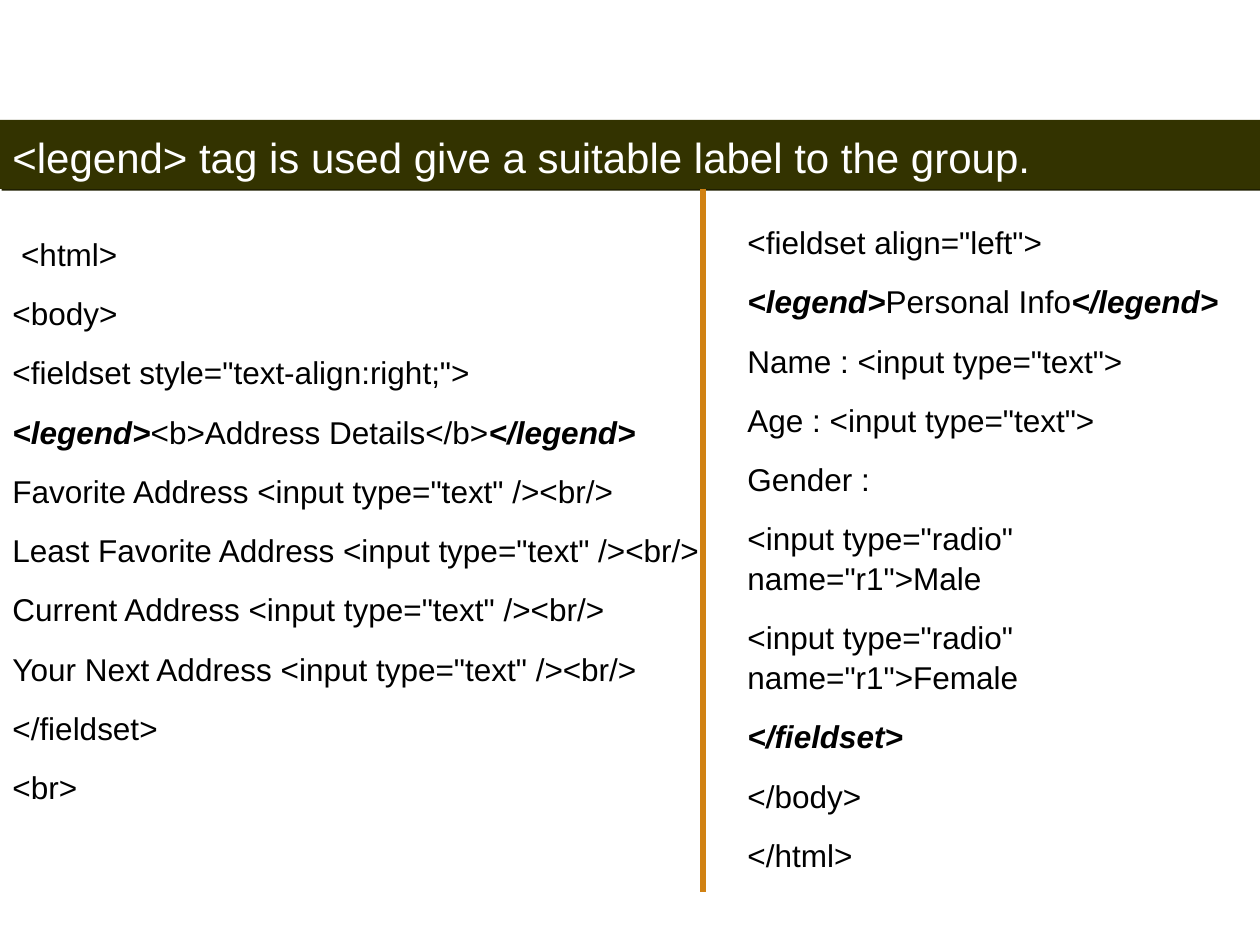
from lxml.etree import SubElement
from pptx import Presentation
from pptx.dml.color import RGBColor
from pptx.enum.shapes import MSO_CONNECTOR as Connector, MSO_SHAPE as Shape
from pptx.enum.text import MSO_ANCHOR as Anchor, PP_ALIGN as Align
from pptx.oxml import parse_xml
from pptx.oxml.ns import nsdecls, qn
from pptx.util import Pt

SCALE = 914400 / 126
OLIVE = RGBColor(0x33, 0x33, 0x00)
ORANGE = RGBColor(0xD1, 0x82, 0x13)
WHITE = RGBColor(0xFF, 0xFF, 0xFF)
BLACK = RGBColor(0x00, 0x00, 0x00)
FONT = "Arial"
SHADOW = (
    f'<a:effectLst {nsdecls("a")}>'
    '<a:outerShdw dist="17780" dir="2700000" algn="ctr" rotWithShape="0">'
    '<a:srgbClr val="1F1F00"/></a:outerShdw></a:effectLst>'
)

TITLE = "<legend> tag is used give a suitable label to the group."
ADDRESS_CODE = [
    [(" <html>", False)],
    [("<body>", False)],
    [('<fieldset style="text-align:right;">', False)],
    [("<legend>", True), ("<b>Address Details</b>", False), ("</legend>", True)],
    [('Favorite Address <input type="text" /><br/>', False)],
    [('Least Favorite Address <input type="text" /><br/>', False)],
    [('Current Address <input type="text" /><br/>', False)],
    [('Your Next Address <input type="text" /><br/>', False)],
    [("</fieldset>", False)],
    [("<br>", False)],
]
PERSONAL_CODE = [
    [('<fieldset align="left">', False)],
    [("<legend>", True), ("Personal Info", False), ("</legend>", True)],
    [('Name : <input type="text">', False)],
    [('Age : <input type="text">', False)],
    [("Gender :", False)],
    [('<input type="radio" name="r1">Male', False)],
    [('<input type="radio" name="r1">Female', False)],
    [("</fieldset>", True)],
    [("</body>", False)],
    [("</html>", False)],
]


def px(*lengths):
    return [round(length * SCALE) for length in lengths]


def add_span(para, text, size, color, strong=False):
    span = para.add_run()
    span.text = text
    span.font.name = FONT
    span.font.size = Pt(size)
    span.font.color.rgb = color
    span.font.bold = span.font.italic = strong


def add_title_band(page, box):
    band = page.shapes.add_shape(Shape.RECTANGLE, *px(*box))
    band.fill.solid()
    band.fill.fore_color.rgb = OLIVE
    band.line.fill.background()
    band.shadow.inherit = False
    properties = band._element.spPr
    properties.replace(properties.find(qn("a:effectLst")), parse_xml(SHADOW))
    frame = band.text_frame
    frame.word_wrap = True
    frame.vertical_anchor = Anchor.BOTTOM
    para = frame.paragraphs[0]
    para.alignment = Align.LEFT
    para.line_spacing = 0.9
    add_span(para, TITLE, 24, WHITE)


def add_code(page, box, lines, anchor):
    frame = page.shapes.add_textbox(*px(*box)).text_frame
    frame.word_wrap = True
    frame.vertical_anchor = anchor
    for index, line in enumerate(lines):
        para = frame.add_paragraph() if index else frame.paragraphs[0]
        para.line_spacing = 1.05
        para.space_before = Pt(11.2 if index else 0)
        for text, strong in line:
            add_span(para, text, 18, BLACK, strong)


def add_divider(page, box):
    left, top, width, height = box
    divider = page.shapes.add_connector(
        Connector.STRAIGHT, *px(left, top, left + width, top + height)
    )
    divider.line.color.rgb = ORANGE
    divider.line.width = Pt(3)
    SubElement(divider._element.spPr, qn("a:effectLst"))


def main():
    deck = Presentation()
    deck.slide_width, deck.slide_height = px(1260, 945)
    page = deck.slides.add_slide(deck.slide_layouts[6])
    add_title_band(page, (0, 120, 1260, 69))
    add_code(page, (0, 220, 735, 599), ADDRESS_CODE, Anchor.MIDDLE)
    add_code(page, (735, 215, 525, 644), PERSONAL_CODE, Anchor.TOP)
    add_divider(page, (703, 189, 0, 703))
    deck.save("out.pptx")


if __name__ == "__main__":
    main()
